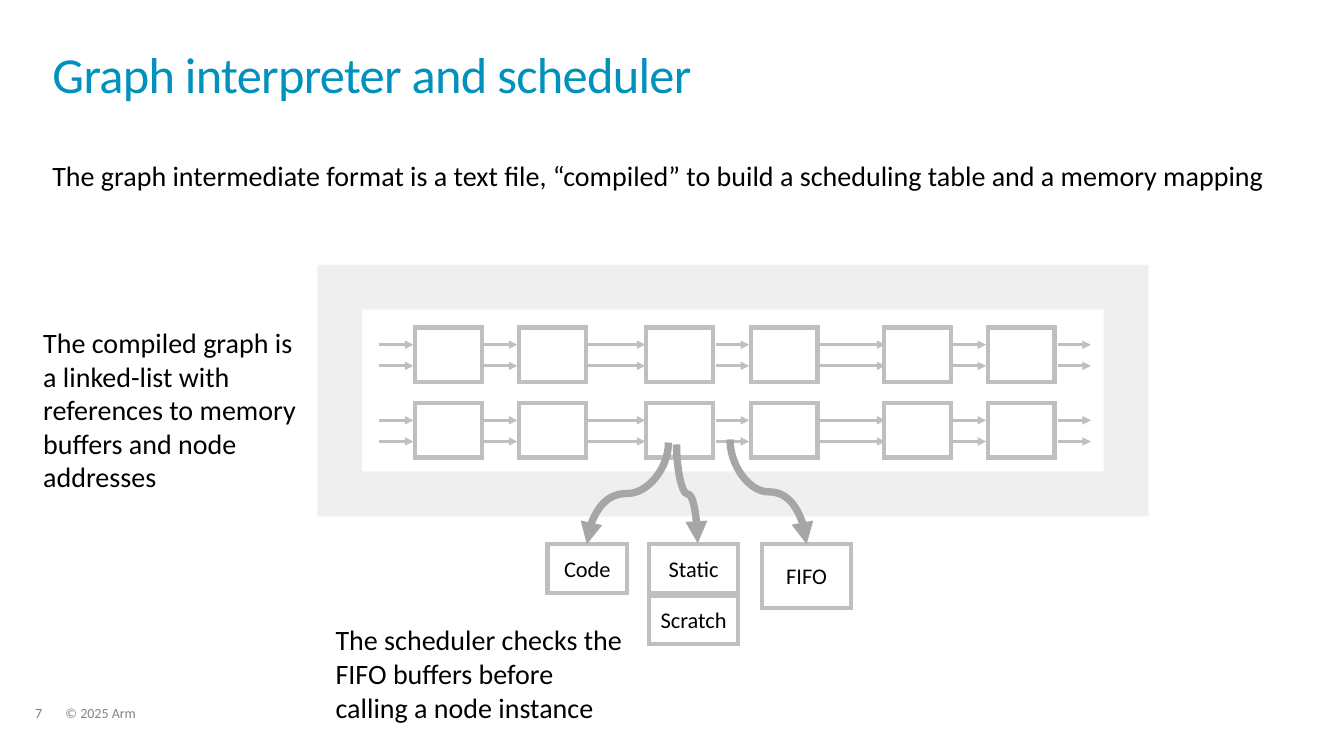
"""Builds the slide about the graph interpreter and scheduler."""
from lxml import etree
from pptx import Presentation
from pptx.dml.color import RGBColor
from pptx.enum.shapes import MSO_CONNECTOR, MSO_SHAPE
from pptx.enum.text import MSO_ANCHOR, MSO_AUTO_SIZE, PP_ALIGN
from pptx.oxml.ns import qn
from pptx.util import Pt

PX = 9144
RECTANGLE = MSO_SHAPE.RECTANGLE
STRAIGHT, CURVE = MSO_CONNECTOR.STRAIGHT, MSO_CONNECTOR.CURVE
LEFT, CENTER = PP_ALIGN.LEFT, PP_ALIGN.CENTER
TOP, MIDDLE = MSO_ANCHOR.TOP, MSO_ANCHOR.MIDDLE
NO_AUTOFIT = MSO_AUTO_SIZE.NONE
COLORS = {
    "title": "0091BD", "text": "000000", "number": "7F7F7F", "footer": "7D868C",
    "box": "FFFFFF", "outline": "BFBFBF", "accent": "A6A6A6",
}


def write(shape, text, size=20, color="text", align=LEFT, anchor=TOP,
          inset=True, line_spacing=None, space_after=0):
    frame = shape.text_frame
    frame.word_wrap = True
    frame.auto_size = NO_AUTOFIT
    frame.vertical_anchor = anchor
    if not inset:
        frame.margin_left = frame.margin_right = frame.margin_top = frame.margin_bottom = 0
    paragraph = frame.paragraphs[0]
    paragraph.alignment = align
    paragraph.line_spacing = line_spacing
    paragraph.space_before, paragraph.space_after = Pt(0), Pt(space_after)
    run = paragraph.add_run()
    run.text = text
    run.font.name, run.font.size = "Calibri", Pt(size)
    run.font.color.rgb = RGBColor.from_string(COLORS[color])
    return run


def draw_arrow(kind, start, end, color, width, arrow_end):
    connector = slide.shapes.add_connector(kind, *(round(value * PX) for value in start + end))
    connector.line.color.rgb = RGBColor.from_string(COLORS[color])
    connector.line.width = Pt(width)
    etree.SubElement(connector.line._get_or_add_ln(), qn(arrow_end), type="triangle")
    etree.SubElement(connector._element.spPr, qn("a:effectLst"))
    return connector


presentation = Presentation()
presentation.slide_width, presentation.slide_height = 1333 * PX, 750 * PX
slide = presentation.slides.add_slide(presentation.slide_layouts[5])

title = slide.shapes.title
title.left, title.top, title.width, title.height = 52 * PX, 52 * PX, 1228 * PX, 72 * PX
title_run = write(title, "Graph interpreter and scheduler", size=36, color="title",
                  inset=False, line_spacing=0.85)
title_run._r.get_or_add_rPr().set("spc", "-50")

FOOTER_FORMAT = {"size": 10, "inset": False, "line_spacing": 0.9, "space_after": 6}
texts = [
    (35, 701, 34, 15, "7", {"color": "number", **FOOTER_FORMAT}),
    (65, 701, 507, 15, "© 2025 Arm", {"color": "footer", **FOOTER_FORMAT}),
    (42, 152, 1258, 44, "The graph intermediate format is a text file, “compiled” "
     "to build a scheduling table and a memory mapping", {}),
    (33, 318, 279, 178, "The compiled graph is a linked-list with references "
     "to memory buffers and node addresses", {}),
    (323, 613, 309, 111, "The scheduler checks the FIFO buffers before "
     "calling a node instance", {}),
]
for left, top, width, height, text, text_format in texts:
    text_box = slide.shapes.add_textbox(left * PX, top * PX, width * PX, height * PX)
    write(text_box, text, **text_format)

row_tops = (325, 400)
node_lefts = (412, 515, 641, 745, 877, 980)
boxes = [(337, 285, 780, 205, "", "accent", 32)]
boxes += [(left, top, 66, 54, "", "outline", 3) for top in row_tops for left in node_lefts]
boxes += [
    (543, 540, 79, 48, "Code", "outline", 3),
    (644, 540, 88, 48, "Static", "outline", 3),
    (644, 591, 88, 48, "Scratch", "outline", 3),
    (756, 540, 88, 63, "FIFO", "outline", 3),
]
for left, top, width, height, text, outline, line_width in boxes:
    box = slide.shapes.add_shape(RECTANGLE, left * PX, top * PX, width * PX, height * PX)
    box.shadow.inherit = False
    box.fill.solid()
    box.fill.fore_color.rgb = RGBColor.from_string(COLORS["box"])
    box.line.color.rgb = RGBColor.from_string(COLORS[outline])
    box.line.width = Pt(line_width)
    line_element = box.line._get_or_add_ln()
    etree.SubElement(line_element, qn("a:miter"), lim="800000")
    if outline == "accent":
        line_color = line_element.find(".//" + qn("a:srgbClr"))
        etree.SubElement(line_color, qn("a:alpha"), val="16000")
    if text:
        write(box, text, size=16, align=CENTER, anchor=MIDDLE)

arrow_spans = ((376, 410), (479, 513), (580, 640), (710, 743), (811, 878), (945, 978), (1049, 1082))
for row_top in row_tops:
    for y in (row_top + 17, row_top + 38):
        for start_x, end_x in arrow_spans:
            draw_arrow(STRAIGHT, (start_x, y), (end_x, y), "outline", 2, "a:tailEnd")

box_to_graph = (((692, 539), (671, 441)), ((800, 540), (724, 436)), ((582, 540), (663, 439)))
for (box_x, box_y), (graph_x, graph_y) in box_to_graph:
    center_x, center_y = (box_x + graph_x) / 2, (box_y + graph_y) / 2
    half_length, half_shift = (box_y - graph_y) / 2, (box_x - graph_x) / 2
    curve = draw_arrow(CURVE, (center_x - half_length, center_y + half_shift),
                       (center_x + half_length, center_y - half_shift),
                       "accent", 5.25, "a:headEnd")
    curve._element.spPr.find(qn("a:xfrm")).set("rot", str(270 * 60000))

presentation.save("out.pptx")
